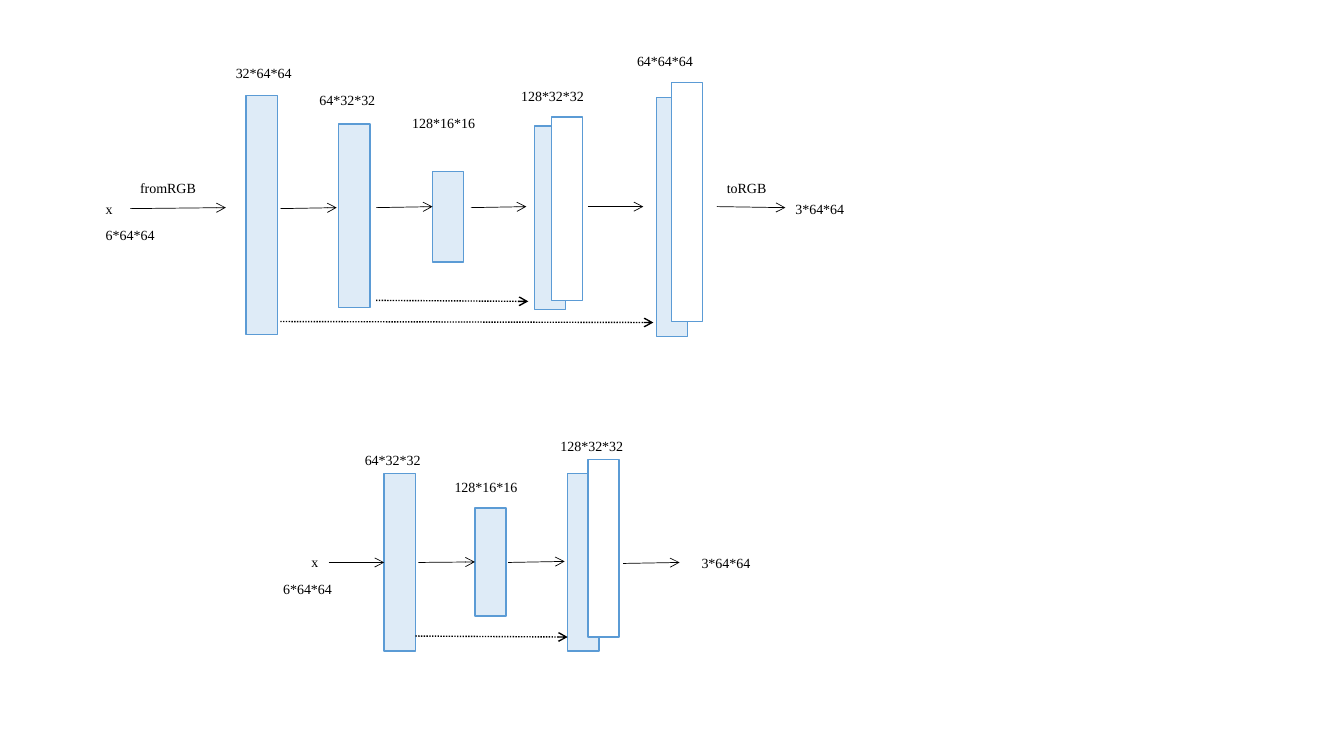
import pptx
import pptx.dml.color
import pptx.enum.dml
import pptx.enum.shapes
import pptx.oxml.ns
import pptx.util
from lxml import etree

Inches = pptx.util.Inches

# Content: lengths in inches
FONT = "Times New Roman"
BLACK, WHITE, PALE_BLUE, BLUE = "000000", "FFFFFF", "DEEBF7", "5B9BD5"
BAR_WIDTH, LABEL_HEIGHT = 0.31, 0.27
SIZE_LABEL, RGB_LABEL, INPUT_LABEL = 0.9, 0.79, 0.34  # label widths
RISE = 0.01  # slight slope of the arrows

NETWORKS = [
    {
        # name: left, top, height, fill
        "bars": {
            "encoder 64": (2.44, 0.95, 2.37, PALE_BLUE),
            "encoder 32": (3.36, 1.23, 1.82, PALE_BLUE),
            "bottleneck": (4.29, 1.7, 0.9, PALE_BLUE),
            "skip 32": (5.3, 1.25, 1.82, PALE_BLUE),
            "decoder 32": (5.47, 1.16, 1.82, WHITE),
            "skip 64": (6.51, 0.97, 2.37, PALE_BLUE),
            "decoder 64": (6.66, 0.82, 2.37, WHITE),
        },
        # start x, end x, start y, end y, bar joined at the end
        "flows": [
            (1.29, 2.24, 2.07, 2.07 - RISE, None),
            (2.78, 3.34, 2.07, 2.07 - RISE, None),
            (3.73, 4.29, 2.06, 2.06 - RISE, None),
            (4.67, 5.22, 2.06, 2.06 - RISE, None),
            (5.83, 6.38, 2.05, 2.05, None),
            (7.11, 7.79, 2.05, 2.05 + RISE, None),
        ],
        "skips": [
            (3.73, 5.24, 2.98, 2.98 + RISE, None),
            (2.78, 6.48, 3.19, 3.19 + RISE, None),
        ],
        # text, left, top, width
        "labels": [
            ("x", 0.95, 1.94, INPUT_LABEL),
            ("6*64*64", 0.95, 2.2, SIZE_LABEL),
            ("fromRGB", 1.29, 1.73, RGB_LABEL),
            ("32*64*64", 2.24, 0.59, SIZE_LABEL),
            ("64*32*32", 3.07, 0.86, SIZE_LABEL),
            ("128*16*16", 3.99, 1.09, SIZE_LABEL),
            ("128*32*32", 5.07, 0.82, SIZE_LABEL),
            ("64*64*64", 6.22, 0.47, SIZE_LABEL),
            ("toRGB", 7.11, 1.73, RGB_LABEL),
            ("3*64*64", 7.79, 1.94, SIZE_LABEL),
        ],
    },
    {
        "bars": {
            "encoder 32": (3.81, 4.7, 1.76, PALE_BLUE),
            "bottleneck": (4.71, 5.04, 1.07, PALE_BLUE),
            "skip 32": (5.63, 4.7, 1.76, PALE_BLUE),
            "decoder 32": (5.83, 4.56, 1.76, WHITE),
        },
        "flows": [
            (3.26, 3.81, 5.58, 5.58 - RISE, "encoder 32"),
            (4.15, 4.71, 5.58, 5.58 - RISE, "bottleneck"),
            (5.04, 5.6, 5.58, 5.58 - RISE, None),
            (6.18, 6.74, 5.59, 5.59 - RISE, None),
        ],
        "skips": [(4.12, 5.63, 6.31, 6.31 + RISE, None)],
        "labels": [
            ("x", 2.99, 5.44, INPUT_LABEL),
            ("6*64*64", 2.71, 5.71, SIZE_LABEL),
            ("64*32*32", 3.52, 4.43, SIZE_LABEL),
            ("128*16*16", 4.41, 4.7, SIZE_LABEL),
            ("128*32*32", 5.46, 4.29, SIZE_LABEL),
            ("3*64*64", 6.86, 5.45, SIZE_LABEL),
        ],
    },
]


def color(hex_value):
    return pptx.dml.color.RGBColor.from_string(hex_value)


def add_bar(group, left, top, height, fill):
    shape = group.shapes.add_shape(
        pptx.enum.shapes.MSO_SHAPE.RECTANGLE,
        Inches(left), Inches(top), Inches(BAR_WIDTH), Inches(height))
    shape.shadow.inherit = False
    shape.fill.solid()
    shape.fill.fore_color.rgb = color(fill)
    shape.line.color.rgb = color(BLUE)
    shape.line.width = pptx.util.Pt(1)
    return shape


def add_arrow(group, start_x, end_x, start_y, end_y, target, dotted):
    connector = group.shapes.add_connector(
        pptx.enum.shapes.MSO_CONNECTOR.STRAIGHT,
        Inches(start_x), Inches(start_y), Inches(end_x), Inches(end_y))
    if target is not None:
        connector.end_connect(target, 1)
    connector.line.color.rgb = color(BLACK)
    connector.line.width = pptx.util.Pt(1 if dotted else 0.5)
    if dotted:
        connector.line.dash_style = pptx.enum.dml.MSO_LINE.ROUND_DOT
    # Open arrowhead and no shadow
    qn = pptx.oxml.ns.qn
    etree.SubElement(connector.line._get_or_add_ln(), qn("a:tailEnd"), type="arrow")
    etree.SubElement(connector._element.spPr, qn("a:effectLst"))


def add_label(group, text, left, top, width):
    box = group.shapes.add_textbox(
        Inches(left), Inches(top), Inches(width), Inches(LABEL_HEIGHT))
    box.text_frame.word_wrap = True
    box.text_frame.text = text
    font = box.text_frame.paragraphs[0].runs[0].font
    font.name = FONT
    font.size = pptx.util.Pt(10)
    font.color.rgb = color(BLACK)


def add_network(slide, network):
    group = slide.shapes.add_group_shape()
    bars = {name: add_bar(group, *bar) for name, bar in network["bars"].items()}
    for kind in ("flows", "skips"):
        for *ends, target in network[kind]:
            add_arrow(group, *ends, bars.get(target), dotted=kind == "skips")
    for label in network["labels"]:
        add_label(group, *label)


def main():
    presentation = pptx.Presentation()
    presentation.slide_width = Inches(13.33)
    presentation.slide_height = Inches(7.5)
    slide = presentation.slides.add_slide(presentation.slide_layouts[6])
    for network in NETWORKS:
        add_network(slide, network)
    presentation.save("out.pptx")


if __name__ == "__main__":
    main()
